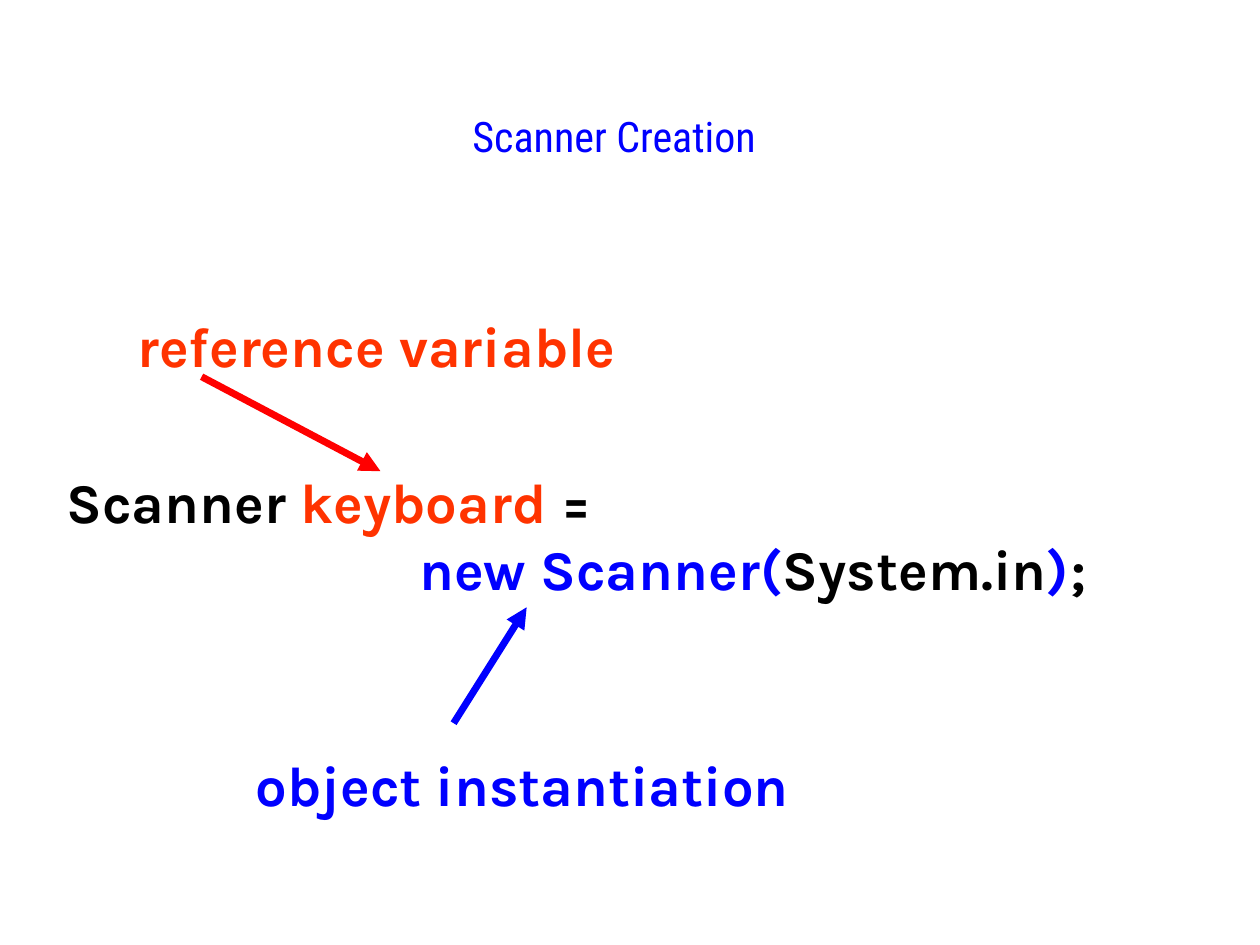
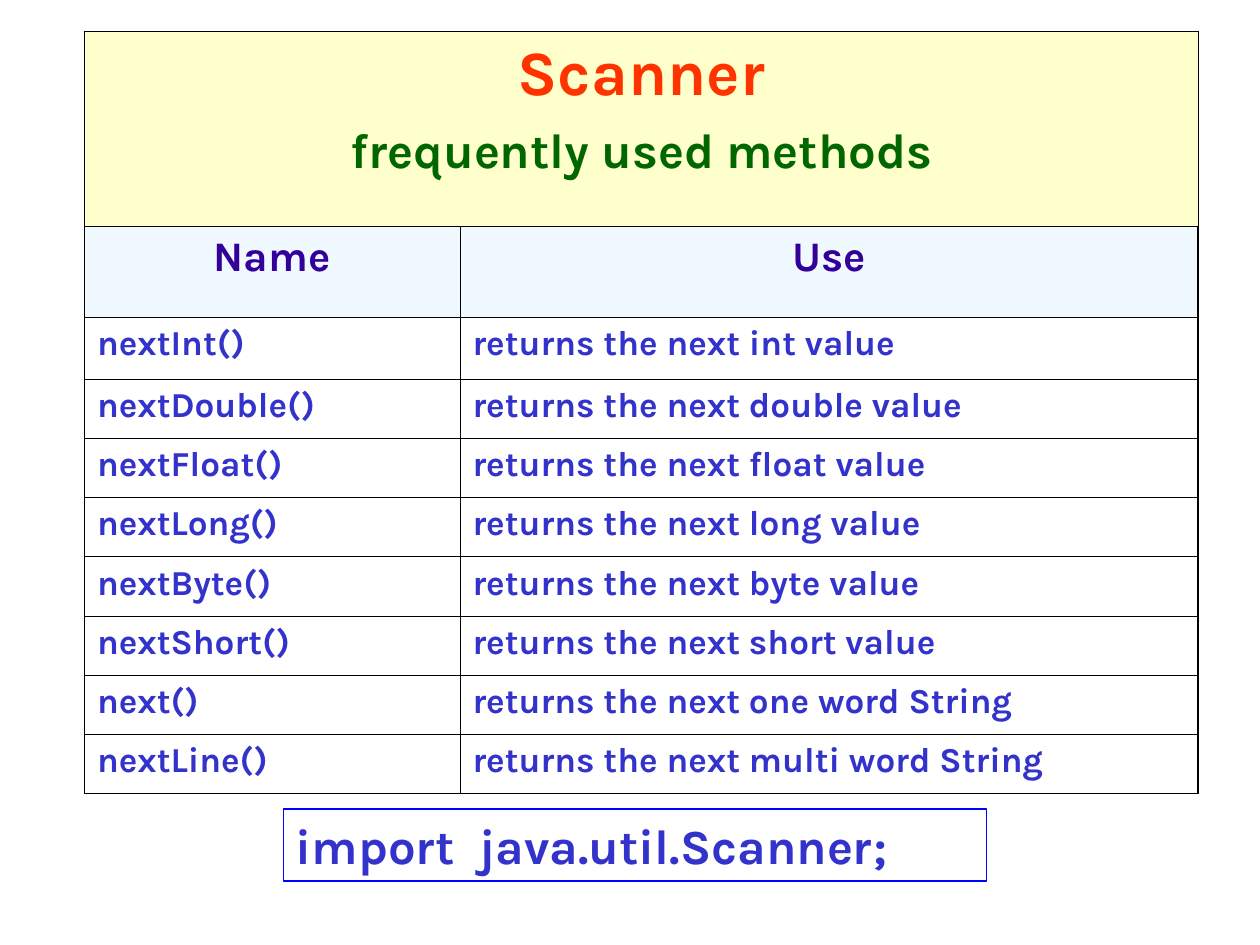
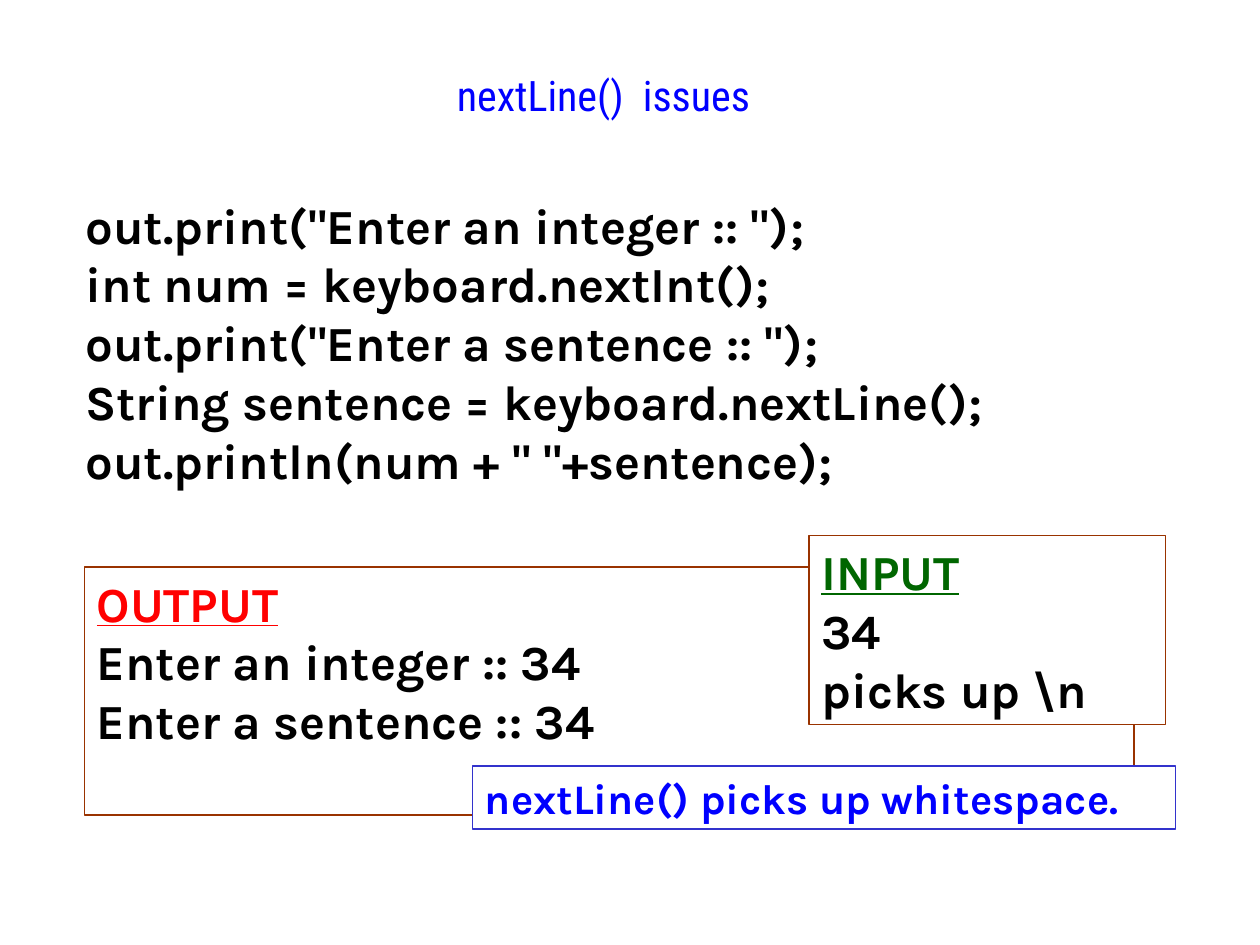
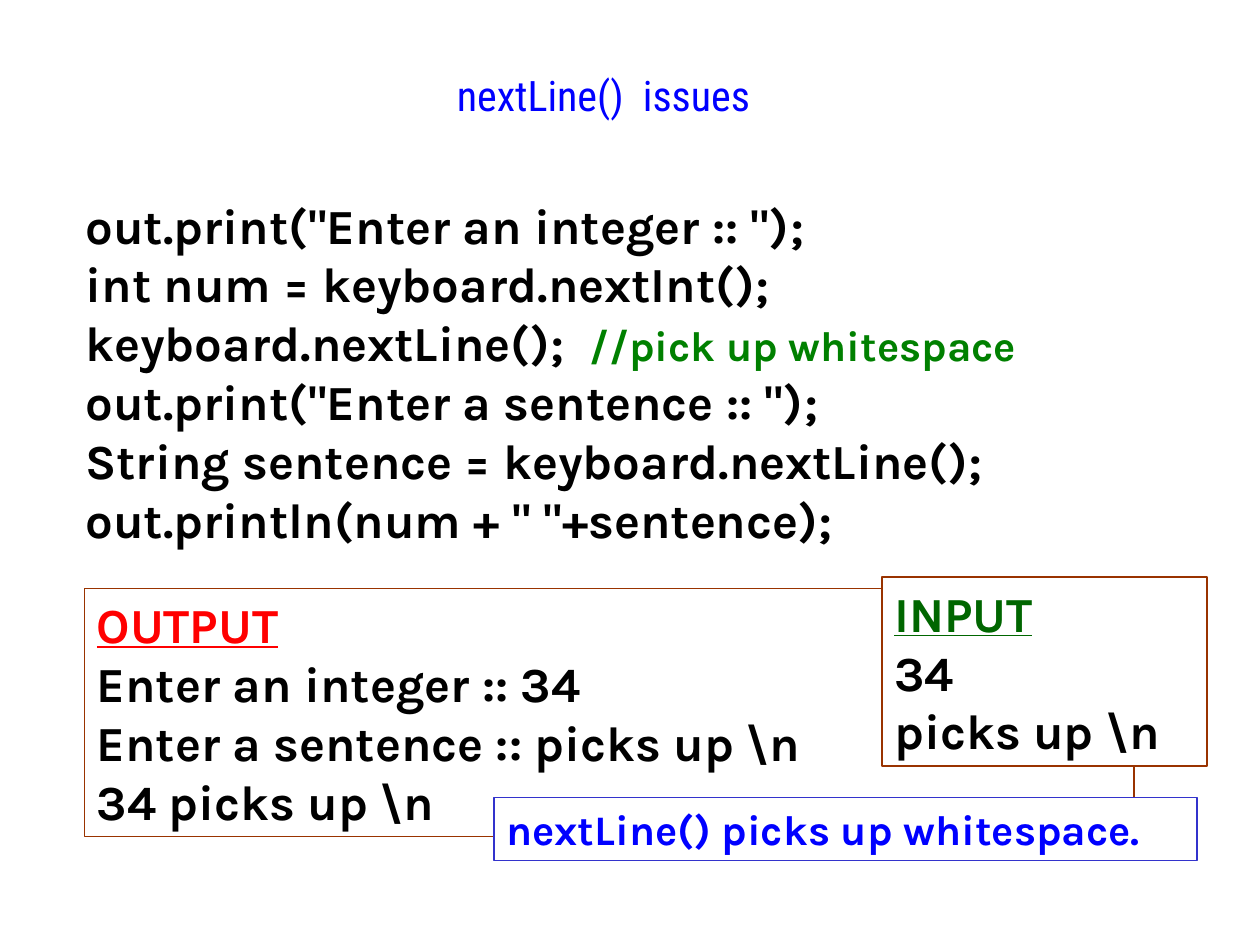
from dataclasses import dataclass
from lxml import etree
from pptx import Presentation
from pptx.dml.color import RGBColor
from pptx.enum.shapes import MSO_CONNECTOR, MSO_SHAPE
from pptx.enum.text import MSO_ANCHOR, PP_ALIGN
from pptx.oxml.ns import qn
from pptx.util import Inches, Pt

RECT = MSO_SHAPE.RECTANGLE
LINE = MSO_CONNECTOR.STRAIGHT
TOP = MSO_ANCHOR.TOP
LEFT, MID = PP_ALIGN.LEFT, PP_ALIGN.CENTER


@dataclass(frozen=True)
class Theme:
    body: str = "Karla"
    head: str = "Roboto Condensed"
    black: str = "000000"
    white: str = "FFFFFF"
    blue: str = "0000FF"
    red: str = "FF0000"
    orange: str = "FF3300"
    green: str = "006600"
    lime: str = "008000"
    indigo: str = "3333CC"
    purple: str = "330099"
    brown: str = "993300"
    cream: str = "FFFFCC"
    sky: str = "E1F4FF"
    small: int = 20
    note: int = 24
    code: int = 28
    large: int = 32
    huge: int = 36
    thin: float = 0.45
    thick: float = 1.08


T = Theme()

DECLARE = [
    [("Scanner ", T.black), ("keyboard", T.orange), (" =", T.black)],
    [("new Scanner(", T.blue), ("System.in", T.black), (")", T.blue),
     (";", T.black)],
]
LABELS = [
    ("reference variable", T.orange, (0.99, 2.42, 4.27, 0.64)),
    ("object instantiation", T.blue, (1.93, 5.91, 4.59, 0.64)),
]
ARROWS = [
    (T.red, (1.6, 2.99), (3.02, 3.74)),
    (T.blue, (3.6, 5.74), (4.18, 4.82)),
]

METHODS = [
    ("nextInt()", "int value"),
    ("nextDouble()", "double value"),
    ("nextFloat()", "float value"),
    ("nextLong()", "long value"),
    ("nextByte()", "byte value"),
    ("nextShort()", "short value"),
    ("next()", "one word String"),
    ("nextLine()", "multi word String"),
]
COLS = (2.98, 5.86)
ROWS = [1.55, 0.72, 0.49] + [0.47] * (len(METHODS) - 1)

ASK = ['out.print("Enter an integer :: ");', "int num = keyboard.nextInt();"]
SKIP = [("keyboard.nextLine();\t", T.black),
        ("//pick up whitespace", T.lime, T.note)]
READ = ['out.print("Enter a sentence :: ");',
        "String sentence = keyboard.nextLine();",
        'out.println(num + " "+sentence);']
INPUT = ["34", "picks up \\n"]
ISSUES = [
    {
        "code": ASK + READ, "high": 2.44,
        "output": ["Enter an integer :: 34", "Enter a sentence :: 34"],
        "out_at": (0.67, 4.5, 8.33, 1.97),
        "in_at": (6.42, 4.25, 2.83, 1.5),
        "note_at": (3.75, 6.08, 5.58, 0.5),
    },
    {
        "code": ASK + [SKIP] + READ, "high": 2.9,
        "output": ["Enter an integer :: 34", "Enter a sentence :: picks up \\n",
                   "34 picks up \\n"],
        "out_at": (0.67, 4.67, 8.33, 1.97),
        "in_at": (7, 4.58, 2.58, 1.5),
        "note_at": (3.92, 6.33, 5.58, 0.5),
    },
]


def rgb(code):
    return RGBColor.from_string(code)


def style(font, size, color, face=T.body, bold=True):
    font.name, font.size, font.bold = face, Pt(size), bold
    font.color.rgb = rgb(color)


def write(frame, lines, size, color=T.black, align=LEFT):
    frame.word_wrap = True
    frame.vertical_anchor = TOP
    for i, line in enumerate(lines):
        para = frame.add_paragraph() if i else frame.paragraphs[0]
        para.alignment = align
        if isinstance(line, str):
            para.text = line
            style(para.font, size, color)
            continue
        for text, tint, *own in line:
            run = para.add_run()
            run.text = text
            style(run.font, own[0] if own else size, tint)


def box(slide, at, lines, size, color=T.black, fill=None, edge=None, width=1):
    place = [Inches(n) for n in at]
    if fill or edge:
        shape = slide.shapes.add_shape(RECT, *place)
        shape.shadow.inherit = False
    else:
        shape = slide.shapes.add_textbox(*place)
    if fill:
        shape.fill.solid()
        shape.fill.fore_color.rgb = rgb(fill)
    else:
        shape.fill.background()
    if edge:
        shape.line.color.rgb = rgb(edge)
        shape.line.width = Pt(width)
    else:
        shape.line.fill.background()
    write(shape.text_frame, lines, size, color)
    return shape


def panel(slide, at, head, tint, lines, fill=None):
    shape = box(slide, at, [head] + lines, T.code, fill=fill, edge=T.brown)
    font = shape.text_frame.paragraphs[0].font
    font.color.rgb = rgb(tint)
    font.underline = True


def arrow(slide, color, start, end):
    line = slide.shapes.add_connector(
        LINE, *[Inches(n) for n in start + end])
    line.line.color.rgb = rgb(color)
    line.line.width = Pt(4)
    etree.SubElement(line.line._get_or_add_ln(), qn("a:tailEnd"),
                     type="triangle")
    etree.SubElement(line._element.spPr, qn("a:effectLst"))


def titled(deck, text, at):
    slide = deck.slides.add_slide(deck.slide_layouts[5])
    title = slide.shapes.title
    title.left, title.top, title.width, title.height = map(Inches, at)
    write(title.text_frame, [text], T.note, T.blue, MID)
    style(title.text_frame.paragraphs[0].font, T.note, T.blue, T.head, False)
    return slide


def border(cell, row, col):
    outer = {"L": col == 0, "R": col == len(COLS) - 1,
             "T": row == 0, "B": row == len(ROWS) - 1}
    for side, edge in outer.items():
        width = Pt(T.thick if edge else T.thin)
        ln = etree.SubElement(cell._tc.get_or_add_tcPr(), qn("a:ln" + side),
                              w=str(width))
        paint = etree.SubElement(ln, qn("a:solidFill"))
        etree.SubElement(paint, qn("a:srgbClr"), val=T.black)


def shade(cell, color, alpha=100):
    cell.fill.solid()
    cell.fill.fore_color.rgb = rgb(color)
    if alpha < 100:
        tint = cell._tc.tcPr.find(".//" + qn("a:solidFill") + "/"
                                  + qn("a:srgbClr"))
        for tint in cell._tc.tcPr.find(qn("a:solidFill")):
            etree.SubElement(tint, qn("a:alpha"), val=str(alpha * 1000))


def creation(deck):
    slide = titled(deck, "Scanner Creation", (0.75, 0.83, 8.25, 0.83))
    code = box(slide, (0.43, 3.66, 9.25, 2.24), DECLARE, T.large, fill=T.white)
    pad = code.text_frame.paragraphs[1]._p.get_or_add_pPr()
    pad.set("marL", str(Inches(2.8)))
    for text, color, at in LABELS:
        box(slide, at, [text], T.large, color)
    for color, start, end in ARROWS:
        arrow(slide, color, start, end)


def methods(deck):
    slide = deck.slides.add_slide(deck.slide_layouts[6])
    grid = slide.shapes.add_table(
        len(ROWS), len(COLS), Inches(0.67), Inches(0.25),
        Inches(sum(COLS)), Inches(sum(ROWS))).table
    grid.first_row = grid.horz_banding = False
    for col, width in zip(grid.columns, COLS):
        col.width = Inches(width)
    for row, high in zip(grid.rows, ROWS):
        row.height = Inches(high)
    for r in range(len(ROWS)):
        for c in range(len(COLS)):
            border(grid.cell(r, c), r, c)
            grid.cell(r, c).fill.background()

    top = grid.cell(0, 0)
    top.merge(grid.cell(0, 1))
    shade(top, T.cream)
    write(top.text_frame, ["Scanner", "frequently used methods"],
          T.code, T.green, MID)
    name, use = top.text_frame.paragraphs
    style(name.font, T.huge, T.orange)
    use.space_before = Pt(7)

    for c, text in enumerate(("Name", "Use")):
        cell = grid.cell(1, c)
        shade(cell, T.sky, 50)
        write(cell.text_frame, [text], T.note, T.purple, MID)
    for r, (call, kind) in enumerate(METHODS, 2):
        for c, text in enumerate((call, "returns the next " + kind)):
            write(grid.cell(r, c).text_frame, [text], T.small, T.indigo)
    box(slide, (2.25, 6.42, 5.58, 0.57), ["import  java.util.Scanner;"],
        T.code, T.indigo, edge=T.blue)


def issue(deck, case):
    slide = titled(deck, "nextLine()  issues", (1.75, 0.5, 6.08, 0.83))
    box(slide, (0.58, 1.5, 9.25, case["high"]), case["code"], T.code,
        fill=T.white)
    panel(slide, case["out_at"], "OUTPUT", T.red, case["output"])
    panel(slide, case["in_at"], "INPUT", T.green, INPUT, T.white)
    box(slide, case["note_at"], ["nextLine() picks up whitespace."], T.note,
        T.blue, T.white, T.indigo, 0.75)


def main():
    deck = Presentation()
    deck.slide_width, deck.slide_height = Inches(10), Inches(7.5)
    creation(deck)
    methods(deck)
    for case in ISSUES:
        issue(deck, case)
    deck.save("out.pptx")


if __name__ == "__main__":
    main()
